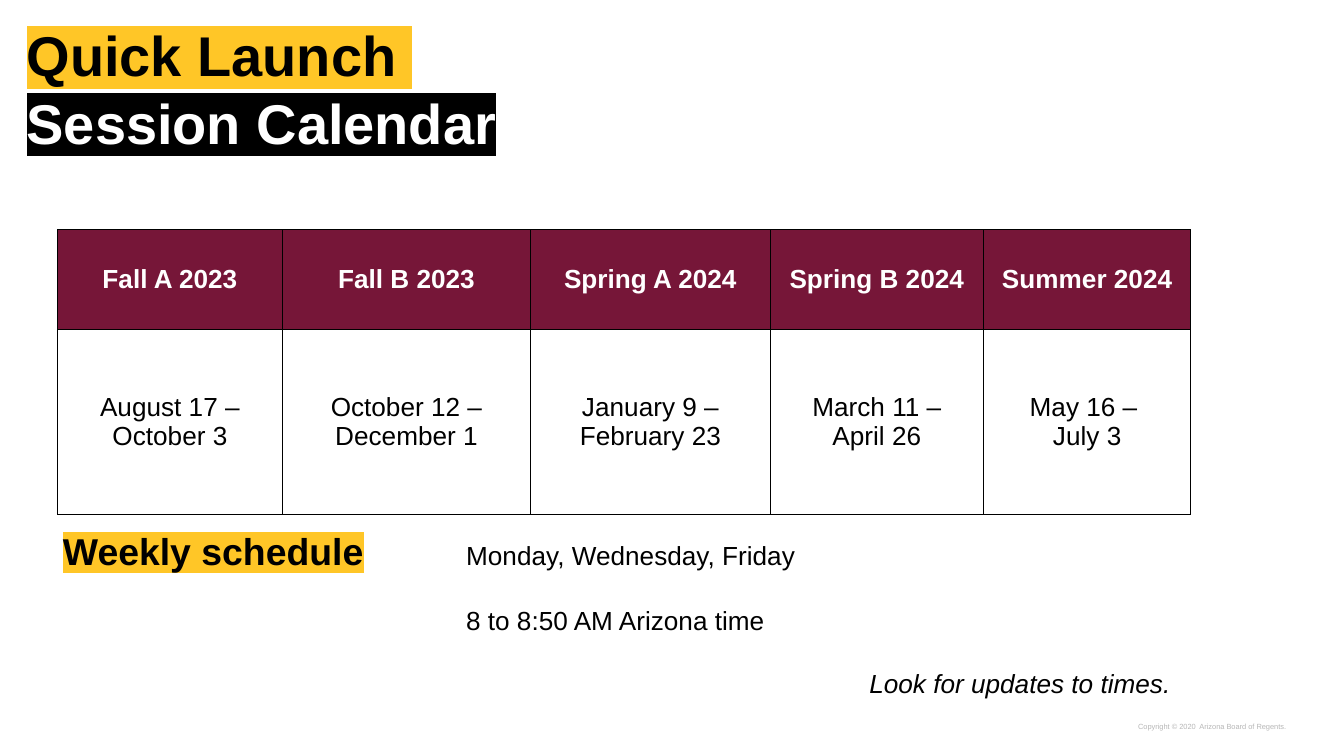
"""Build the Quick Launch session calendar slide."""
from lxml.etree import SubElement
from pptx import Presentation
from pptx.dml.color import RGBColor
from pptx.enum.text import MSO_ANCHOR as Anchor, PP_ALIGN as Align
from pptx.oxml import parse_xml
from pptx.oxml.ns import nsdecls, qn
from pptx.util import Inches, Pt

FONT = "Arial"
BLACK = RGBColor(0x00, 0x00, 0x00)
WHITE = RGBColor(0xFF, 0xFF, 0xFF)
GOLD = RGBColor(0xFF, 0xC6, 0x27)
MAROON = RGBColor(0x76, 0x16, 0x38)
GRAY = RGBColor(0xB7, 0xB7, 0xB7)

COLUMN_WIDTHS = (1.67, 1.85, 1.78, 1.59, 1.54)
ROW_HEIGHTS = (0.74, 1.38)
SESSIONS = (
    ("Fall A 2023", "August 17 –\nOctober 3"),
    ("Fall B 2023", "October 12 –\nDecember 1"),
    ("Spring A 2024", "January 9 –\nFebruary 23"),
    ("Spring B 2024", "March 11 –\nApril 26"),
    ("Summer 2024", "May 16 – \nJuly 3"),
)


def style_font(font, size, color, bold=False, italic=False):
    font.name = FONT
    font.size = Pt(size)
    font.color.rgb = color
    font.bold = bold
    font.italic = italic


def add_text_box(slide, left, top, width, height, margin_y=0.1):
    box = slide.shapes.add_textbox(Inches(left), Inches(top), Inches(width), Inches(height))
    frame = box.text_frame
    frame.word_wrap = True
    frame.margin_left = frame.margin_right = Inches(0.1)
    frame.margin_top = frame.margin_bottom = Inches(margin_y)
    return frame


def add_highlighted_run(paragraph, text, size, color, highlight):
    run = paragraph.add_run()
    run.text = text
    style_font(run.font, size, color, bold=True)
    fill = run.font._element.find(qn("a:solidFill"))
    fill.addnext(parse_xml(
        f'<a:highlight {nsdecls("a")}><a:srgbClr val="{highlight}"/></a:highlight>'))


def add_title(slide):
    frame = add_text_box(slide, 0.1, 0.08, 5.83, 1.15, margin_y=0.05)
    frame.vertical_anchor = Anchor.MIDDLE
    lines = (("Quick Launch ", BLACK, GOLD), ("Session Calendar", WHITE, BLACK))
    for index, (text, color, highlight) in enumerate(lines):
        paragraph = frame.add_paragraph() if index else frame.paragraphs[0]
        add_highlighted_run(paragraph, text, 30, color, highlight)


def add_borders(cell):
    properties = cell._tc.get_or_add_tcPr()
    for index, side in enumerate(("lnL", "lnR", "lnT", "lnB")):
        properties.insert(index, parse_xml(
            f'<a:{side} {nsdecls("a")} w="{Pt(0.5)}"><a:solidFill>'
            f'<a:srgbClr val="{BLACK}"/></a:solidFill></a:{side}>'))


def fill_cell(cell, text, is_header):
    cell.text = text
    cell.vertical_anchor = Anchor.MIDDLE
    cell.margin_left = cell.margin_right = Inches(0.07)
    cell.margin_top = cell.margin_bottom = Inches(0.05)
    if is_header:
        cell.fill.solid()
        cell.fill.fore_color.rgb = MAROON
    else:
        cell.fill.background()
    add_borders(cell)
    for paragraph in cell.text_frame.paragraphs:
        paragraph.alignment = Align.CENTER
        style_font(paragraph.font, 14, WHITE if is_header else BLACK, bold=is_header)


def add_calendar(slide):
    table = slide.shapes.add_table(
        len(ROW_HEIGHTS), len(COLUMN_WIDTHS), Inches(0.43), Inches(1.71),
        Inches(sum(COLUMN_WIDTHS)), Inches(sum(ROW_HEIGHTS))).table
    table.horz_banding = False
    for row, height in zip(table.rows, ROW_HEIGHTS):
        row.height = Inches(height)
    for column, width in zip(table.columns, COLUMN_WIDTHS):
        column.width = Inches(width)
    for column_index, session in enumerate(SESSIONS):
        for row_index, text in enumerate(session):
            fill_cell(table.cell(row_index, column_index), text, row_index == 0)


def add_indented_line(frame, text, indent, italic=False):
    paragraph = frame.add_paragraph()
    paragraph._p.get_or_add_pPr().set("marL", str(Inches(indent)))
    paragraph.text = text
    paragraph.space_before = Pt(17)
    style_font(paragraph.font, 14, BLACK, italic=italic)


def add_schedule(slide):
    frame = add_text_box(slide, 0.37, 3.83, 9.26, 1.48)
    heading = frame.paragraphs[0]
    tabs = SubElement(heading._p.get_or_add_pPr(), qn("a:tabLst"))
    SubElement(tabs, qn("a:tab"), pos=str(Inches(3)), algn="l")
    add_highlighted_run(heading, "Weekly schedule", 20, BLACK, GOLD)
    days = heading.add_run()
    days.text = "\tMonday, Wednesday, Friday"
    style_font(days.font, 14, BLACK)
    add_indented_line(frame, "8 to 8:50 AM Arizona time", 3)
    add_indented_line(frame, "Look for updates to times.", 6, italic=True)


def add_copyright(slide):
    paragraph = add_text_box(slide, 8.37, 5.34, 3.28, 3.28).paragraphs[0]
    paragraph.text = "Copyright © 2020  Arizona Board of Regents."
    style_font(paragraph.font, 4, GRAY)


def main():
    presentation = Presentation()
    presentation.slide_width = Inches(10)
    presentation.slide_height = presentation.slide_width * 9 // 16
    slide = presentation.slides.add_slide(presentation.slide_layouts[6])
    add_copyright(slide)
    add_title(slide)
    add_schedule(slide)
    add_calendar(slide)
    presentation.save("out.pptx")


if __name__ == "__main__":
    main()
